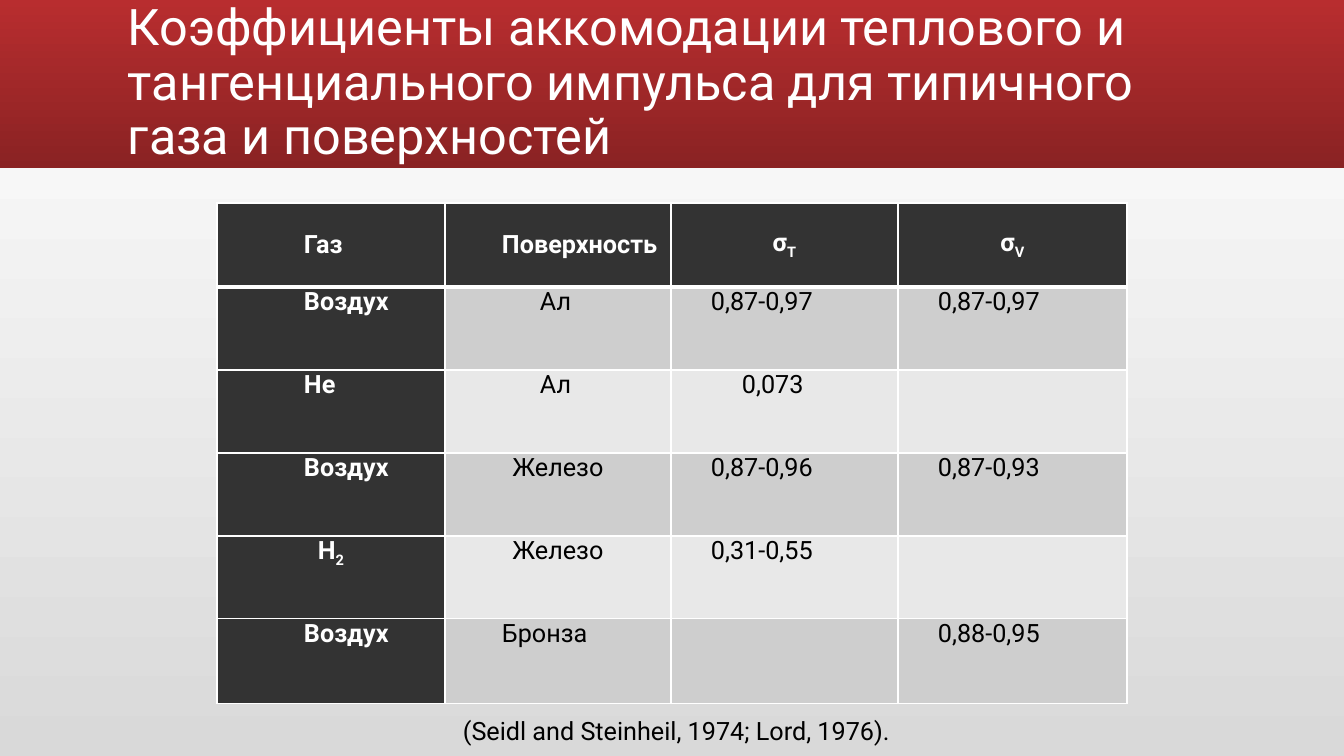
from lxml.etree import SubElement
from pptx import Presentation
from pptx.dml.color import RGBColor
from pptx.enum.shapes import MSO_SHAPE
from pptx.enum.text import MSO_ANCHOR, PP_ALIGN
from pptx.oxml.ns import qn
from pptx.util import Pt

EMU_PER_PX = 914400 / 100.8
FONT = "Roboto"
WHITE, BLACK, DARK = "FFFFFF", "000000", "333333"
BANDS = ["CECECE", "E8E8E8"]

CENTRED = None
GAS = (86, 0)
ALUMINIUM = (94, 0)
SURFACE = (0, 56)
RANGE = (0, 39)
SINGLE = (0, 70)
EMPTY = ("", CENTRED)

COLUMN_WIDTHS = [228, 226, 227, 229]
ROW_HEIGHTS = [84, 83, 83, 83, 83, 85]
ROWS = [
    [("Газ", GAS), ("Поверхность", SURFACE), ("σ_T", CENTRED), ("σ_V", CENTRED)],
    [("Воздух", GAS), ("Ал", ALUMINIUM), ("0,87-0,97", RANGE), ("0,87-0,97", RANGE)],
    [("He", GAS), ("Ал", ALUMINIUM), ("0,073", SINGLE), EMPTY],
    [("Воздух", GAS), ("Железо", CENTRED), ("0,87-0,96", RANGE), ("0,87-0,93", RANGE)],
    [("Н_2", CENTRED), ("Железо", CENTRED), ("0,31-0,55", RANGE), EMPTY],
    [("Воздух", GAS), ("Бронза", SURFACE), EMPTY, ("0,88-0,95", RANGE)],
]


def px(length):
    return round(length * EMU_PER_PX)


def color(value):
    return RGBColor.from_string(value)


def set_gradient(fill, start, end, angle):
    fill.gradient()
    fill.gradient_angle = angle
    for stop, value in zip(fill.gradient_stops, (start, end)):
        stop.color.rgb = color(value)


def set_font(paragraph, size, value, bold=False):
    font = paragraph.font
    font.name, font.size, font.bold = FONT, Pt(size), bold
    font.color.rgb = color(value)


def add_text(slide, box, text, size, value, anchor=MSO_ANCHOR.TOP, spacing=1.0):
    frame = slide.shapes.add_textbox(*map(px, box)).text_frame
    frame.word_wrap = True
    frame.vertical_anchor = anchor
    paragraph = frame.paragraphs[0]
    paragraph.text = text
    paragraph.line_spacing = spacing
    set_font(paragraph, size, value)


def add_header(slide, left, top, width, height, title):
    band = slide.shapes.add_shape(
        MSO_SHAPE.RECTANGLE, px(left), px(top), px(width), px(height))
    band.shadow.inherit = False
    band.line.fill.background()
    set_gradient(band.fill, "B82D2F", "8A2223", 270)
    box = (left + 118, top + 11, width - 235, height - 22)
    add_text(slide, box, title, 36, WHITE, MSO_ANCHOR.MIDDLE, 0.9)


def set_borders(cell, widths):
    properties = cell._tc.get_or_add_tcPr()
    for side, width in widths.items():
        line = SubElement(properties, qn(f"a:ln{side}"), w=str(Pt(width)))
        fill = SubElement(line, qn("a:solidFill"))
        SubElement(fill, qn("a:srgbClr"), val=WHITE)


def fill_cell(cell, text, indent, background, value, bold):
    cell.margin_left = cell.margin_right = px(1)
    cell.margin_top = cell.margin_bottom = 0
    cell.fill.solid()
    cell.fill.fore_color.rgb = color(background)
    paragraph = cell.text_frame.paragraphs[0]
    if indent is CENTRED:
        paragraph.alignment = PP_ALIGN.CENTER
    else:
        margin, first_line = indent
        properties = paragraph._p.get_or_add_pPr()
        properties.set("marL", str(px(margin)))
        properties.set("indent", str(px(first_line)))
    base, _, subscript = text.partition("_")
    if base:
        paragraph.add_run().text = base
    if subscript:
        run = paragraph.add_run()
        run.text = subscript
        run.font._element.set("baseline", "-25000")
    set_font(paragraph, 18, value, bold)


def add_coefficients(slide, left, top):
    table = slide.shapes.add_table(
        len(ROWS), len(COLUMN_WIDTHS), px(left), px(top),
        px(sum(COLUMN_WIDTHS)), px(sum(ROW_HEIGHTS))).table
    for column, width in zip(table.columns, COLUMN_WIDTHS):
        column.width = px(width)
    for row, height in zip(table.rows, ROW_HEIGHTS):
        row.height = px(height)
    for row_index, row in enumerate(ROWS):
        for column_index, (text, indent) in enumerate(row):
            cell = table.cell(row_index, column_index)
            heading = row_index == 0 or column_index == 0
            set_borders(cell, {
                "L": 1, "R": 1,
                "T": 3 if row_index == 1 else 1,
                "B": 3 if row_index == 0 else 1,
            })
            background = DARK if heading else BANDS[(row_index - 1) % 2]
            fill_cell(cell, text, indent, background,
                      WHITE if heading else BLACK, heading)
            if row_index == 0:
                cell.vertical_anchor = MSO_ANCHOR.MIDDLE


def main():
    presentation = Presentation()
    presentation.slide_width, presentation.slide_height = px(1344), px(756)
    slide = presentation.slides.add_slide(presentation.slide_layouts[6])
    set_gradient(slide.background.fill, "D9D9D9", WHITE, 90)
    add_header(slide, 0, 0, 1344, 168,
               "Коэффициенты аккомодации теплового и тангенциального импульса "
               "для типичного газа и поверхностей")
    add_coefficients(slide, 217, 203)
    add_text(slide, (453, 710, 672, 40),
             "(Seidl and Steinheil, 1974; Lord, 1976).", 18, BLACK)
    presentation.save("out.pptx")


if __name__ == "__main__":
    main()
